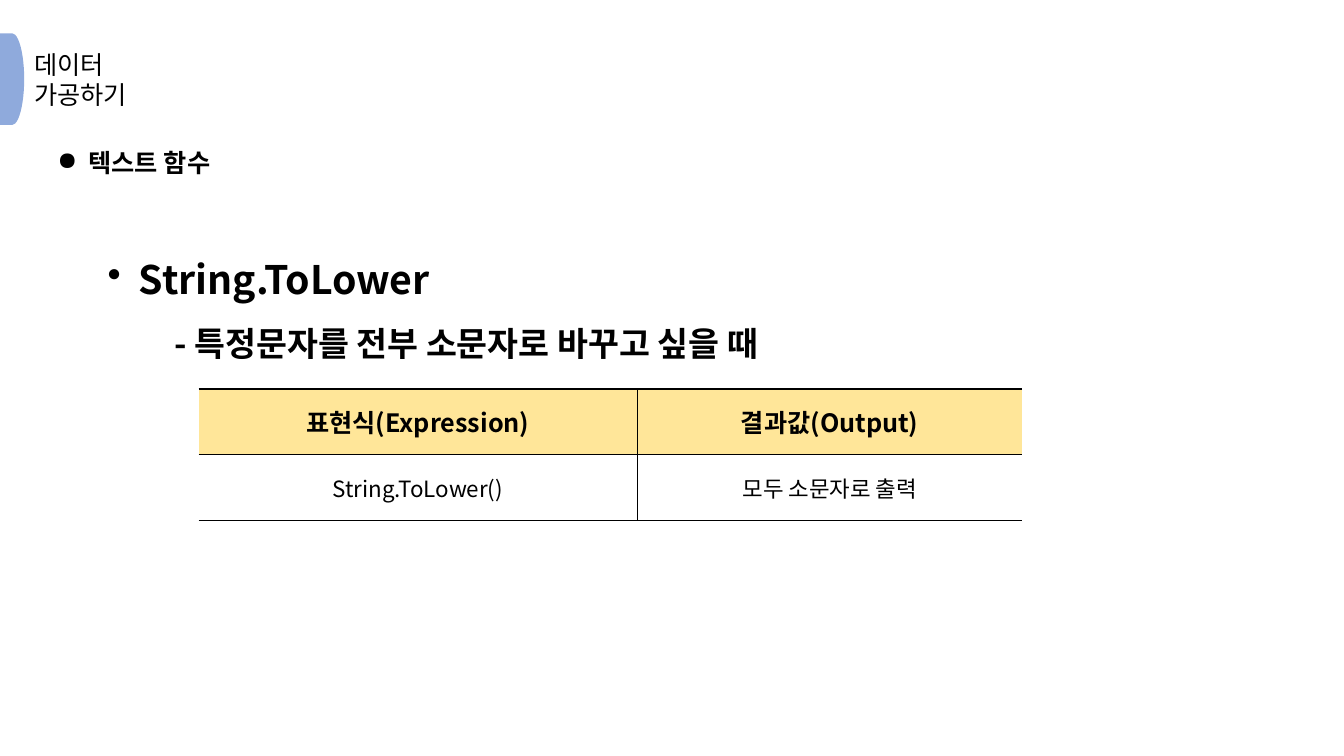
from dataclasses import dataclass

from lxml import etree
from pptx import Presentation
from pptx.dml.color import RGBColor
from pptx.enum.shapes import MSO_SHAPE
from pptx.enum.text import MSO_ANCHOR, MSO_AUTO_SIZE, PP_ALIGN
from pptx.oxml.ns import qn
from pptx.util import Inches, Pt

DELAY = MSO_SHAPE.FLOWCHART_DELAY
MIDDLE = MSO_ANCHOR.MIDDLE
TOP = MSO_ANCHOR.TOP
CENTER = PP_ALIGN.CENTER
FIT_SHAPE = MSO_AUTO_SIZE.SHAPE_TO_FIT_TEXT
PLAIN_TABLE = "{2D5ABB26-0587-4C30-8999-92F81FD0307C}"


@dataclass(frozen=True)
class Theme:
    """Colours, type sizes and font of the slide."""
    font: str = "Noto Sans CJK KR"
    ink: str = "000000"
    tab: str = "8FAADC"
    header: str = "FFE699"
    label: int = 18
    function: int = 28
    purpose: int = 24
    value: int = 16
    rule: int = 1


THEME = Theme()


def write(paragraph, text, size, bold=False):
    """Add one styled run to a paragraph."""
    run = paragraph.add_run()
    run.text = text
    formats = {"name": THEME.font, "size": Pt(size), "bold": bold}
    for attribute, setting in formats.items():
        setattr(run.font, attribute, setting)
    run.font.color.rgb = RGBColor.from_string(THEME.ink)
    etree.SubElement(run.font._element, qn("a:ea"), typeface=THEME.font)


def add_text_frame(slide, box, anchor):
    """Add a growing, unwrapped text box and return its frame."""
    frame = slide.shapes.add_textbox(*map(Inches, box)).text_frame
    formats = {"word_wrap": False, "auto_size": FIT_SHAPE, "vertical_anchor": anchor}
    for attribute, setting in formats.items():
        setattr(frame, attribute, setting)
    return frame


def add_section_title(slide, box, lines):
    """Draw the edge tab and the section title beside it."""
    left, top, width, height = box
    tab_width = 0.24
    tab = slide.shapes.add_shape(DELAY, *map(Inches, (left, top, tab_width, height)))
    tab.shadow.inherit = False
    tab.fill.solid()
    tab.fill.fore_color.rgb = RGBColor.from_string(THEME.tab)
    tab.line.fill.background()
    title_box = (left + tab_width, top + 0.1, width - tab_width, height - 0.2)
    frame = add_text_frame(slide, title_box, MIDDLE)
    for index, line in enumerate(lines):
        paragraph = frame.add_paragraph() if index else frame.paragraphs[0]
        write(paragraph, line, THEME.label)


def add_outline(slide, box, items):
    """Write the topic, function and purpose as an indented outline."""
    frame = add_text_frame(slide, box, TOP)
    for index, (text, size, level, margin, hanging, bullet, gap) in enumerate(items):
        paragraph = frame.add_paragraph() if index else frame.paragraphs[0]
        formats = {"level": level, "line_spacing": 1.5, "space_before": Pt(gap)}
        for attribute, setting in formats.items():
            setattr(paragraph, attribute, setting)
        properties = paragraph._p.get_or_add_pPr()
        properties.set("marL", str(Inches(margin)))
        properties.set("indent", str(Inches(-hanging)))
        if bullet:
            etree.SubElement(properties, qn("a:buChar"), char=bullet)
        else:
            etree.SubElement(properties, qn("a:buNone"))
        write(paragraph, text, size, bold=True)


def set_borders(cell, drawn_sides):
    """Rule the drawn sides of a cell and clear the others."""
    properties = cell._tc.get_or_add_tcPr()
    for position, side in enumerate("LRTB"):
        line = etree.Element(qn(f"a:ln{side}"), w=str(Pt(THEME.rule)))
        if side in drawn_sides:
            fill = etree.SubElement(line, qn("a:solidFill"))
            etree.SubElement(fill, qn("a:srgbClr"), val=THEME.ink)
        else:
            etree.SubElement(line, qn("a:noFill"))
        properties.insert(position, line)


def add_function_table(slide, box, column_widths, rows):
    """Draw the expression and output table with open outer sides."""
    frame = slide.shapes.add_table(len(rows), len(column_widths), *map(Inches, box))
    table = frame.table
    table.first_row = table.horz_banding = False
    table._tbl.tblPr.find(qn("a:tableStyleId")).text = PLAIN_TABLE
    for column, width in zip(table.columns, column_widths):
        column.width = Inches(width)
    for row_index, texts in enumerate(rows):
        is_header = row_index == 0
        for column_index, text in enumerate(texts):
            cell = table.cell(row_index, column_index)
            cell.vertical_anchor = MIDDLE
            if is_header:
                cell.fill.solid()
                cell.fill.fore_color.rgb = RGBColor.from_string(THEME.header)
            else:
                cell.fill.background()
            set_borders(cell, "LTB" if column_index else "RTB")
            paragraph = cell.text_frame.paragraphs[0]
            paragraph.alignment = CENTER
            write(paragraph, text, THEME.label if is_header else THEME.value, is_header)


def main():
    """Build and save the slide."""
    deck = Presentation()
    deck.slide_width, deck.slide_height = Inches(13.33), Inches(7.5)
    slide = deck.slides.add_slide(deck.slide_layouts[6])
    add_section_title(slide, (0, 0.33, 1.39, 0.91), ["데이터", "가공하기"])
    add_outline(slide, (0.47, 1.26, 7.52, 2.34), [
        ("텍스트 함수", THEME.label, 0, 0.31, 0.31, "●", 0),
        ("String.ToLower", THEME.function, 1, 0.81, 0.31, "•", 39),
        ("- 특정문자를 전부 소문자로 바꾸고 싶을 때", THEME.purpose, 1, 1.16, 0, None, 0),
    ])
    add_function_table(slide, (1.97, 3.86, 8.17, 1.3), (4.35, 3.82), [
        ("표현식(Expression)", "결과값(Output)"),
        ("String.ToLower()", "모두 소문자로 출력"),
    ])
    deck.save("out.pptx")


if __name__ == "__main__":
    main()
